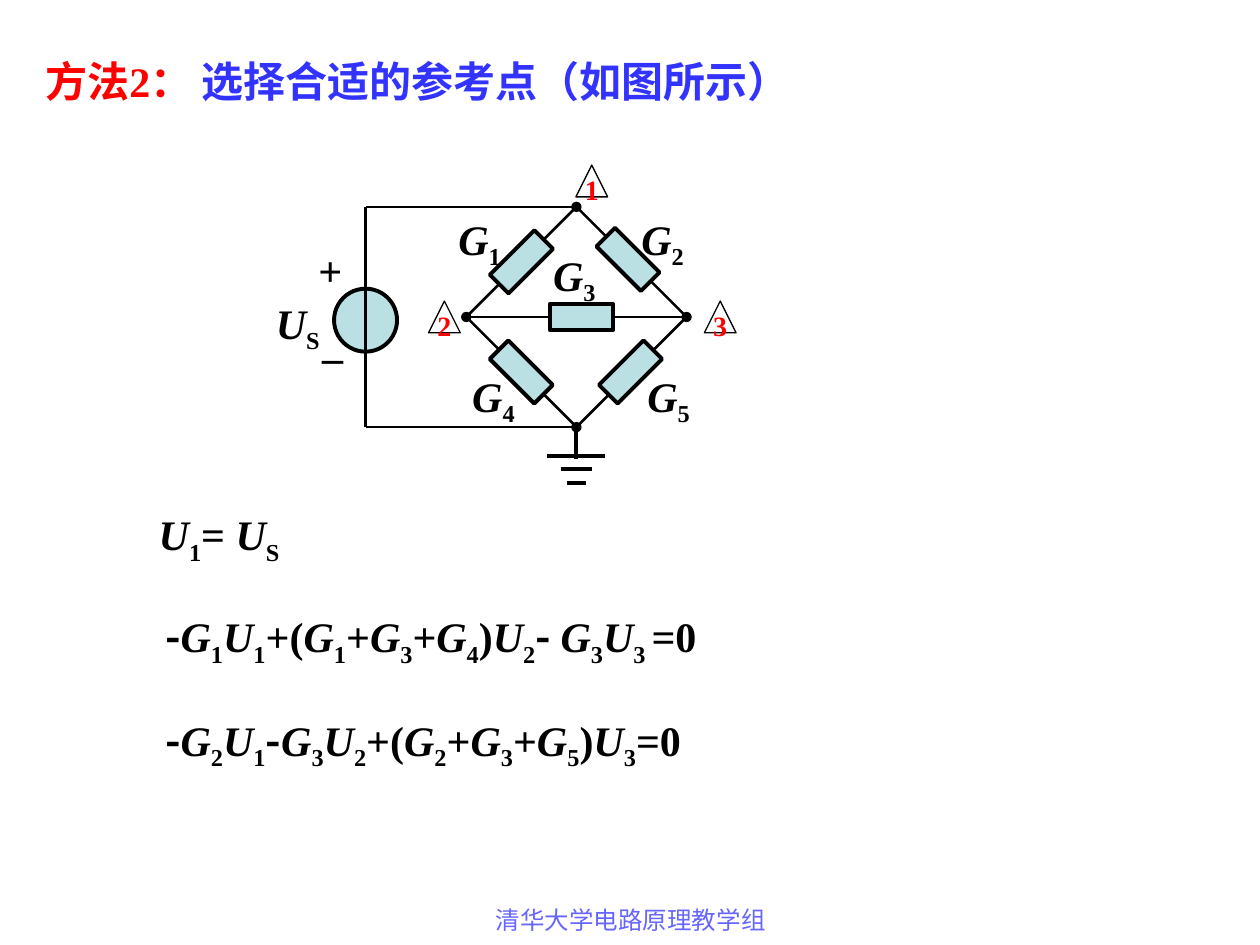
from itertools import groupby

from lxml import etree
from pptx import Presentation
from pptx.dml.color import RGBColor
from pptx.enum.shapes import MSO_CONNECTOR, MSO_SHAPE
from pptx.enum.text import MSO_ANCHOR, MSO_AUTO_SIZE, PP_ALIGN
from pptx.oxml.ns import qn
from pptx.util import Cm, Pt

RECTANGLE, OVAL, TRIANGLE = MSO_SHAPE.RECTANGLE, MSO_SHAPE.OVAL, MSO_SHAPE.ISOSCELES_TRIANGLE
STRAIGHT = MSO_CONNECTOR.STRAIGHT
TOP, MIDDLE = MSO_ANCHOR.TOP, MSO_ANCHOR.MIDDLE
LEFT, CENTER = PP_ALIGN.LEFT, PP_ALIGN.CENTER
NO_AUTOSIZE = MSO_AUTO_SIZE.NONE

BLACK = RGBColor(0x00, 0x00, 0x00)
WHITE = RGBColor(0xFF, 0xFF, 0xFF)
RED = RGBColor(0xFF, 0x00, 0x00)
BLUE = RGBColor(0x33, 0x33, 0xFF)
LAVENDER = RGBColor(0x66, 0x66, 0xFF)
PALE_TEAL = RGBColor(0xBB, 0xE0, 0xE3)

SERIF, CJK = "Times New Roman", "Noto Sans CJK SC"
WIRE, THICK, THIN = 1.5, 2.25, 0.75


def style_run(run, color=BLACK, size=24, bold=True, font=SERIF):
    run.font.name = font
    run.font.size = Pt(size)
    run.font.bold = bold
    run.font.color.rgb = color
    east_asian = etree.SubElement(run.font._element, qn("a:ea"))
    east_asian.set("typeface", CJK)


def add_text(slide, box, text, align=LEFT, anchor=TOP, **style):
    label = slide.shapes.add_textbox(*map(Cm, box))
    frame = label.text_frame
    frame.word_wrap = False
    frame.vertical_anchor = anchor
    frame.text = text
    paragraph = frame.paragraphs[0]
    paragraph.alignment = align
    for run in paragraph.runs:
        style_run(run, **style)
    return paragraph


def add_formula(slide, box, formula):
    """Italic G and U; a dot makes the next character a subscript."""
    styled = []
    for previous, char in zip(" " + formula, formula):
        if char == ".":
            continue
        if char == " ":
            kind = styled[-1][1]
        elif previous == ".":
            kind = "subscript"
        elif char in "GU":
            kind = "variable"
        else:
            kind = "minus" if char == "-" else "plain"
        styled.append((char, kind))

    paragraph = add_text(slide, box, "")
    for kind, chars in groupby(styled, key=lambda pair: pair[1]):
        run = paragraph.add_run()
        run.text = "".join(char for char, _ in chars)
        style_run(run, font=CJK if kind == "minus" else SERIF)
        run.font.italic = kind == "variable"
        if kind == "subscript":
            run.font._element.set("baseline", "-25000")


def add_part(slide, kind, box, fill, width, rotation=0):
    part = slide.shapes.add_shape(kind, *map(Cm, box))
    part.shadow.inherit = False
    part.fill.solid()
    part.fill.fore_color.rgb = fill
    part.line.color.rgb = BLACK
    part.line.width = Pt(width)
    part.rotation = rotation
    return part


def add_wire(slide, start, end, width=WIRE, dots=()):
    wire = slide.shapes.add_connector(STRAIGHT, *map(Cm, (*start, *end)))
    wire.line.color.rgb = BLACK
    wire.line.width = Pt(width)
    for end_tag in dots:
        etree.SubElement(wire.line._get_or_add_ln(), qn(end_tag)).set("type", "oval")
    etree.SubElement(wire._element.spPr, qn("a:effectLst"))


def add_title(slide, left, top, width, height):
    title = slide.shapes.title
    title.left, title.top, title.width, title.height = map(Cm, (left, top, width, height))
    frame = title.text_frame
    frame.word_wrap = False
    frame.auto_size = NO_AUTOSIZE
    frame.vertical_anchor = TOP
    paragraph = frame.paragraphs[0]
    paragraph.alignment = LEFT
    for text, color in (("方法2： ", RED), ("选择合适的参考点（如图所示）", BLUE)):
        run = paragraph.add_run()
        run.text = text
        style_run(run, color)


def add_circuit(slide, left, top):
    center_x, center_y = left + 6.31, top + 3.06
    source_x, half = left + 2.06, 2.22
    side = half * 2 ** 0.5

    # Bridge outline and its middle branch
    add_part(slide, RECTANGLE, (center_x - side / 2, center_y - side / 2, side, side),
             WHITE, WIRE, 45)
    add_wire(slide, (center_x - half, center_y), (center_x + half, center_y),
             dots=("a:headEnd", "a:tailEnd"))

    # Conductances: offset from the bridge center, rotation, label position
    conductances = (
        (-1.11, -1.11, 45, 3.68, 0.84),
        (1.04, -1.16, 315, 7.37, 0.84),
        (0.1, 0, 270, 5.59, 1.57),
        (-1.11, 1.11, 315, 3.96, 4.01),
        (1.09, 1.11, 45, 7.49, 4.01),
    )
    body_width, body_height = 0.53, 1.27
    for number, (dx, dy, rotation, label_x, label_y) in enumerate(conductances, 1):
        body = (center_x + dx - body_width / 2, center_y + dy - body_height / 2,
                body_width, body_height)
        add_part(slide, RECTANGLE, body, PALE_TEAL, THICK, rotation)
        add_formula(slide, (left + label_x, top + label_y, 1.37, 1.42), f"G.{number}")

    # Wires to the source
    for y in (center_y - half, center_y + half):
        add_wire(slide, (center_x, y), (source_x, y), dots=("a:headEnd",))
    add_wire(slide, (source_x, center_y - half), (source_x, center_y + half))

    # Voltage source with polarity marks
    diameter = 1.27
    add_part(slide, OVAL, (source_x - diameter / 2, top + 2.49, diameter, diameter),
             PALE_TEAL, THICK)
    add_wire(slide, (source_x, center_y - 1.59), (source_x, center_y + 1.59))
    for sign, x, y in (("+", 0.86, 1.47), ("_", 0.91, 2.92)):
        add_text(slide, (left + x, top + y, 0.97, 1.27), sign, CENTER, MIDDLE)
    add_formula(slide, (left, top + 2.54, 1.47, 1.42), "U.S")

    # Node markers
    for number, x, y in (("1", 6.3, 0), ("2", 3.33, 2.74), ("3", 8.89, 2.74)):
        marker = add_part(slide, TRIANGLE, (left + x, top + y, 0.64, 0.64), WHITE, THIN)
        frame = marker.text_frame
        frame.word_wrap = False
        frame.vertical_anchor = MIDDLE
        frame.margin_top = frame.margin_bottom = Cm(0.08)
        frame.text = number
        frame.paragraphs[0].alignment = CENTER
        style_run(frame.paragraphs[0].runs[0], RED, 16)

    # Ground at the reference node
    add_wire(slide, (center_x, center_y + half), (center_x, center_y + half + 0.64), THICK)
    for y, width in ((5.87, 1.17), (6.12, 0.64), (6.4, 0.38)):
        add_wire(slide, (center_x - width / 2, top + y), (center_x + width / 2, top + y), THICK)


def add_equations(slide, left, top):
    equations = (
        (0, 0, 3.18, "U.1= U.S"),
        (0.13, 2.06, 11.66, "-G.1U.1+(G.1+G.3+G.4)U.2- G.3U.3 =0"),
        (0.13, 4.14, 11.25, "-G.2U.1-G.3U.2+(G.2+G.3+G.5)U.3=0"),
    )
    for x, y, width, formula in equations:
        add_formula(slide, (left + x, top + y, width, 1.42), formula)


def main():
    prs = Presentation()
    prs.slide_width, prs.slide_height = Cm(25.4), Cm(19.05)
    slide = prs.slides.add_slide(prs.slide_layouts[5])
    add_title(slide, 0.66, 0.99, 16.31, 1.27)
    add_circuit(slide, 5.31, 3.33)
    add_equations(slide, 2.95, 10.13)
    # Footer
    add_text(slide, (8.69, 18.11, 8.05, 0.94), "清华大学电路原理教学组", CENTER,
             color=LAVENDER, size=14, bold=False)
    prs.save("out.pptx")


if __name__ == "__main__":
    main()
